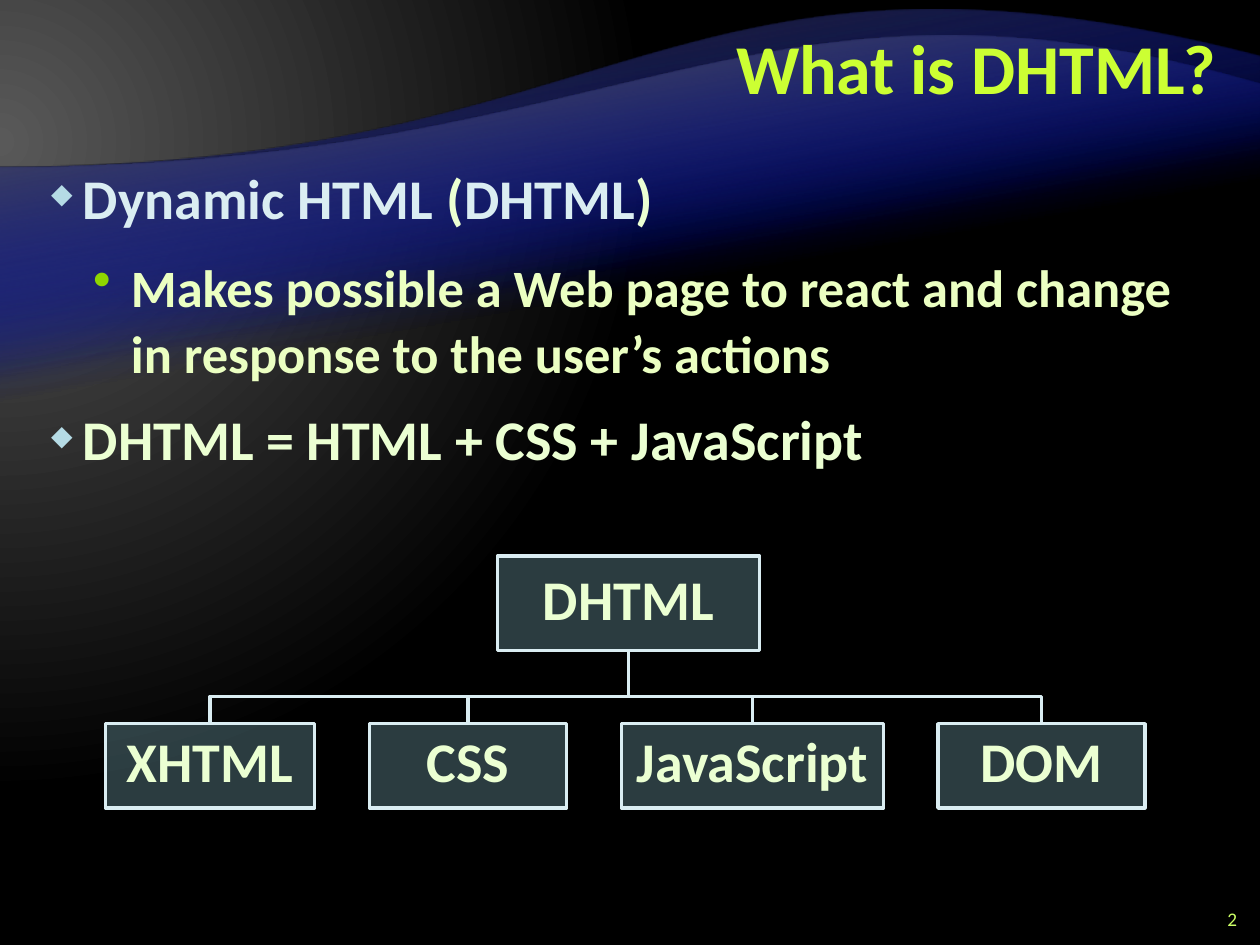
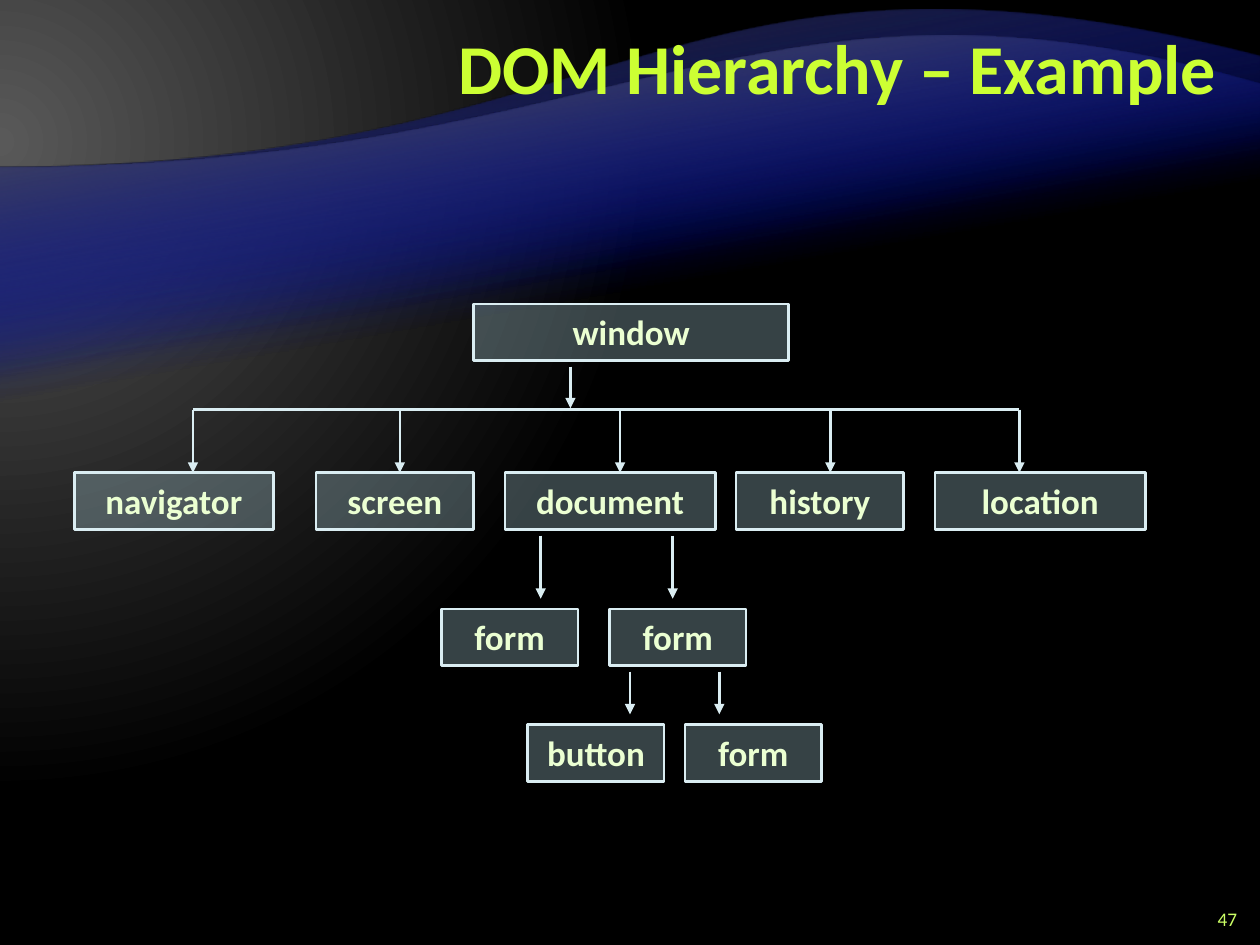
from typing import NamedTuple

from lxml.etree import SubElement
from pptx import Presentation
from pptx.dml.color import RGBColor
from pptx.enum.shapes import MSO_CONNECTOR, MSO_SHAPE
from pptx.enum.text import MSO_ANCHOR, PP_ALIGN
from pptx.oxml import parse_xml
from pptx.oxml.ns import nsdecls, qn
from pptx.util import Cm, Pt

FONT = "Calibri"
COLORS = {
    "title": "CCFF33",
    "number": "CCFF66",
    "text": "EBFFD2",
    "subtext": "EBFFC2",
    "pale_blue": "DAEDF2",
    "tree_fill": "90CAD7",
    "object_fill": "B5DBE5",
    "diamond": "B5DBE5",
    "dot": "8FD600",
    "grey": "595959",
    "dark_grey": "262626",
    "black": "000000",
    "blue": "000D9E",
}
WIDTH, HEIGHT = 25.4, 19.05


class Point(NamedTuple):
    x: float
    y: float


class Box(NamedTuple):
    left: float
    top: float
    width: float
    height: float

    @property
    def center(self) -> float:
        return self.left + self.width / 2

    @property
    def bottom(self) -> float:
        return self.top + self.height


class Stop(NamedTuple):
    percent: int
    color: str
    alpha: int = 100


class Wave(NamedTuple):
    """A band whose upper edge is a Bezier curve from start to end."""
    start: Point
    pull_start: Point
    pull_end: Point
    end: Point
    bottom: float
    edge_color: str


class BoxStyle(NamedTuple):
    fill: str
    line_width: float
    text_size: int
    line_spacing: float
    inset: float
    anchor: MSO_ANCHOR


class Bullet(NamedTuple):
    char: str
    color: str
    percent: int
    margin: float
    hanging: float
    text_size: int


class Node(NamedTuple):
    label: str
    box: Box


WAVE_START = (Point(0, 3.38), Point(12.7, 3.38))
WAVES = [
    Wave(*WAVE_START, Point(13.56, -1.91), Point(WIDTH, 1.14), 16.59, "dark_grey"),
    Wave(*WAVE_START, Point(15.19, -1.24), Point(WIDTH, 1.7), 14.15, "grey"),
]
TITLE_BOX = Box(5.08, 0.21, 19.69, 2.54)
BODY_BOX = Box(0.64, 3.18, 24.13, 15.44)
NUMBER_BOX = Box(23.92, 18.21, 1.27, 0.64)

TREE_STYLE = BoxStyle("tree_fill", 2, 32, 0.85, 0.05, MSO_ANCHOR.MIDDLE)
OBJECT_STYLE = BoxStyle("object_fill", 1.5, 20, 1, 0.13, MSO_ANCHOR.TOP)
DIAMOND = Bullet("◆", "diamond", 50, 0.78, 0.64, 32)
DOT = Bullet("•", "dot", 100, 1.75, 0.76, 30)

BODY = [
    (DIAMOND, [("Dynamic HTML", "pale_blue"), (" (", "text"),
               ("DHTML", "pale_blue"), (")", "text")]),
    (DOT, [("Makes possible a Web page to react and change in response "
            "to the user’s actions", "subtext")]),
    (DIAMOND, [("DHTML = HTML + CSS + JavaScript", "text")]),
]

TREE_ROOT = Node("DHTML", Box(10.03, 11.21, 5.28, 1.91))
TREE_BAR_Y = 14.04
TREE_PARTS = [
    Node(label, Box(left, 14.59, width, 1.7))
    for label, left, width in [
        ("XHTML", 2.13, 4.21), ("CSS", 7.45, 3.97),
        ("JavaScript", 12.53, 5.28), ("DOM", 18.91, 4.17),
    ]
]

OBJECT_ROWS = {
    6.13: [("window", 9.55, 6.35)],
    9.53: [("navigator", 1.5, 4.01), ("screen", 6.37, 3.18), ("document", 10.18, 4.24),
           ("history", 14.84, 3.38), ("location", 18.85, 4.24)],
    12.28: [("form", 8.9, 2.75), ("form", 12.29, 2.75)],
    14.61: [("button", 10.64, 2.75), ("form", 13.81, 2.75)],
}
OBJECT_HEIGHT = 1.14
OBJECT_BAR_Y = 8.26
BAR_DROPS = [3.89, 8.06, 12.5, 16.74, 20.55]
ARROWS = {  # (from y, to y): x of each arrow
    (7.39, 8.23): [11.5],
    (OBJECT_BAR_Y, 9.53): BAR_DROPS,
    (10.8, 12.07): [10.9, 13.56],
    (13.54, 14.4): [12.7, 14.5],
}


def rgb(name: str) -> RGBColor:
    return RGBColor.from_string(COLORS[name])


def set_gradient(owner, fill, stops: list[Stop], direction: str) -> None:
    """Fill with the stops; direction is the a:lin or a:path element."""
    fill.gradient()
    stop_list = "".join(
        f'<a:gs pos="{stop.percent * 1000}"><a:srgbClr val="{COLORS[stop.color]}">'
        f'<a:alpha val="{stop.alpha * 1000}"/></a:srgbClr></a:gs>'
        for stop in stops
    )
    old = owner.element.find(".//" + qn("a:gradFill"))
    old.getparent().replace(old, parse_xml(
        f'<a:gradFill {nsdecls("a")} rotWithShape="1">'
        f"<a:gsLst>{stop_list}</a:gsLst>{direction}</a:gradFill>"))


def add_outline(page, points: list[Point], close: bool):
    start, *rest = [(Cm(point.x), Cm(point.y)) for point in points]
    builder = page.shapes.build_freeform(*start)
    builder.add_line_segments(rest, close=close)
    shape = builder.convert_to_shape()
    shape.shadow.inherit = False
    return shape


def add_wave(page, wave: Wave) -> None:
    """Draw the wave upside down, then turn it with its gradient by 180 degrees."""
    top = wave.end.y

    def turned(point: Point) -> Point:
        return Point(WIDTH - point.x, top + wave.bottom - point.y)

    corners = [Point(WIDTH, wave.bottom), Point(0, wave.bottom), wave.start, wave.end]
    shape = add_outline(page, [turned(corner) for corner in corners], close=True)
    edge = shape.element.findall(".//" + qn("a:lnTo"))[-1]
    curve = parse_xml(f'<a:cubicBezTo {nsdecls("a")}/>')
    for point in map(turned, (wave.pull_start, wave.pull_end, wave.end)):
        SubElement(curve, qn("a:pt"), x=str(Cm(point.x)), y=str(Cm(point.y) - Cm(top)))
    edge.getparent().replace(edge, curve)
    shape.rotation = 180
    shape.line.fill.background()
    set_gradient(shape, shape.fill, [Stop(65, "blue", 0), Stop(100, wave.edge_color)],
                 '<a:lin ang="4800000" scaled="0"/>')


def style_para(para, size: int, color: str, bold: bool = True) -> None:
    para.font.name = FONT
    para.font.size = Pt(size)
    para.font.bold = bold
    para.font.color.rgb = rgb(color)


def add_text_frame(page, box: Box, anchor: MSO_ANCHOR):
    frame = page.shapes.add_textbox(*map(Cm, box)).text_frame
    frame.word_wrap = True
    frame.vertical_anchor = anchor
    return frame


def add_right_text(page, box: Box, text: str, size: int, color: str, bold: bool):
    para = add_text_frame(page, box, MSO_ANCHOR.MIDDLE).paragraphs[0]
    para.text = text
    para.alignment = PP_ALIGN.RIGHT
    style_para(para, size, color, bold)
    return para


def add_page(deck, title: str, number: int):
    page = deck.slides.add_slide(deck.slide_layouts[6])
    for wave in WAVES * 2:
        add_wave(page, wave)
    add_right_text(page, TITLE_BOX, title, 40, "title", True).line_spacing = Pt(40)
    add_right_text(page, NUMBER_BOX, str(number), 11, "number", False)
    return page


def set_bullet(para, bullet: Bullet) -> None:
    properties = para._p.get_or_add_pPr()
    properties.set("marL", str(Cm(bullet.margin)))
    properties.set("indent", str(-Cm(bullet.hanging)))
    color = SubElement(properties, qn("a:buClr"))
    SubElement(color, qn("a:srgbClr"), val=COLORS[bullet.color])
    SubElement(properties, qn("a:buSzPct"), val=str(bullet.percent * 1000))
    SubElement(properties, qn("a:buChar"), char=bullet.char)


def add_body(page) -> None:
    frame = add_text_frame(page, BODY_BOX, MSO_ANCHOR.TOP)
    for index, (bullet, spans) in enumerate(BODY):
        para = frame.add_paragraph() if index else frame.paragraphs[0]
        para.line_spacing = Pt(38)
        para.space_before = para.space_after = Pt(6)
        set_bullet(para, bullet)
        style_para(para, bullet.text_size, spans[0][1])
        for text, color in spans:
            span = para.add_run()
            span.text = text
            if len(spans) > 1:
                span.font.color.rgb = rgb(color)


def set_line(line, width: float) -> None:
    line.color.rgb = rgb("pale_blue")
    line.width = Pt(width)


def add_node(page, node: Node, style: BoxStyle) -> None:
    shape = page.shapes.add_shape(MSO_SHAPE.RECTANGLE, *map(Cm, node.box))
    shape.shadow.inherit = False
    shape.fill.solid()
    shape.fill.fore_color.rgb = rgb(style.fill)
    SubElement(shape.element.find(".//" + qn("a:srgbClr")), qn("a:alpha"), val="30000")
    set_line(shape.line, style.line_width)
    frame = shape.text_frame
    frame.vertical_anchor = style.anchor
    frame.margin_left = frame.margin_right = Cm(style.inset)
    frame.margin_top = frame.margin_bottom = Cm(style.inset)
    para = frame.paragraphs[0]
    para.text = node.label
    para.alignment = PP_ALIGN.CENTER
    para.line_spacing = style.line_spacing
    style_para(para, style.text_size, "text")


def add_branch(page, part: Node) -> None:
    """Elbow line from the tree's root down to one part."""
    root_x, part_x = TREE_ROOT.box.center, part.box.center
    branch = add_outline(page, [
        Point(root_x, TREE_ROOT.box.bottom), Point(root_x, TREE_BAR_Y),
        Point(part_x, TREE_BAR_Y), Point(part_x, part.box.top),
    ], close=False)
    branch.fill.background()
    set_line(branch.line, TREE_STYLE.line_width)


def add_line(page, start: Point, end: Point, arrow: bool) -> None:
    connector = page.shapes.add_connector(MSO_CONNECTOR.STRAIGHT, *map(Cm, start + end))
    set_line(connector.line, OBJECT_STYLE.line_width)
    if arrow:
        SubElement(connector.line._get_or_add_ln(), qn("a:tailEnd"), type="triangle")
    SubElement(connector.element.spPr, qn("a:effectLst"))


def build_definition(deck) -> None:
    page = add_page(deck, "What is DHTML?", 2)
    add_body(page)
    for part in TREE_PARTS:
        add_branch(page, part)
    for node in [TREE_ROOT, *TREE_PARTS]:
        add_node(page, node, TREE_STYLE)


def build_hierarchy(deck) -> None:
    page = add_page(deck, "DOM Hierarchy – Example", 47)
    for top, row in OBJECT_ROWS.items():
        for label, left, width in row:
            add_node(page, Node(label, Box(left, top, width, OBJECT_HEIGHT)), OBJECT_STYLE)
    add_line(page, Point(BAR_DROPS[0], OBJECT_BAR_Y),
             Point(BAR_DROPS[-1], OBJECT_BAR_Y), arrow=False)
    for (start_y, end_y), columns in ARROWS.items():
        for x in columns:
            add_line(page, Point(x, start_y), Point(x, end_y), arrow=True)


def main() -> None:
    deck = Presentation()
    deck.slide_width, deck.slide_height = Cm(WIDTH), Cm(HEIGHT)
    master = deck.slide_master
    set_gradient(master, master.background.fill, [Stop(0, "grey"), Stop(83, "black")],
                 '<a:path path="circle"><a:fillToRect l="20000" t="30000" '
                 'r="135000" b="100000"/></a:path>')
    build_definition(deck)
    build_hierarchy(deck)
    deck.save("out.pptx")


if __name__ == "__main__":
    main()
